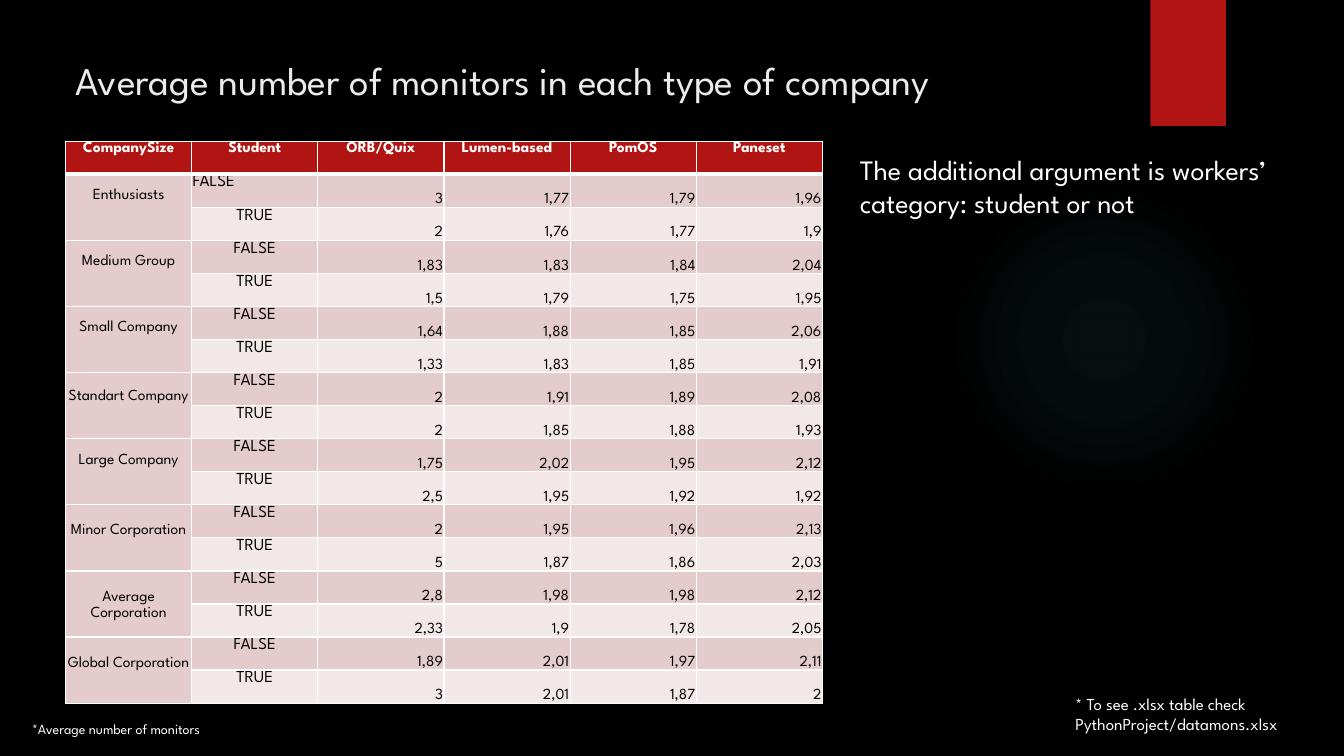
from lxml.etree import SubElement
from pptx import Presentation
from pptx.dml.color import RGBColor
from pptx.enum.shapes import MSO_SHAPE as Preset
from pptx.enum.text import MSO_ANCHOR as Anchor, PP_ALIGN as Align
from pptx.oxml import parse_xml
from pptx.oxml.ns import nsdecls, qn
from pptx.util import Inches, Pt

SLIDE_WIDTH, SLIDE_HEIGHT = Inches(13.33), Inches(7.5)
FONT = "League Spartan"
RED, WHITE, BLACK, PALE = "B01513", "FFFFFF", "000000", "EBEBEB"
BANDS = ("E4CCCC", "F2E8E7")
GLOW, GLOW_STOPS = "50B9C1", ((0, 7), (36, 6), (69, 0))
HEADINGS = ("CompanySize", "Student", "ORB/Quix", "Lumen-based", "PomOS", "Paneset")
COMPANIES = (
    ("Enthusiasts", None, "3 1,77 1,79 1,96", "2 1,76 1,77 1,9"),
    ("Medium Group", None, "1,83 1,83 1,84 2,04", "1,5 1,79 1,75 1,95"),
    ("Small Company", None, "1,64 1,88 1,85 2,06", "1,33 1,83 1,85 1,91"),
    ("Standart Company", 11.2, "2 1,91 1,89 2,08", "2 1,85 1,88 1,93"),
    ("Large Company", None, "1,75 2,02 1,95 2,12", "2,5 1,95 1,92 1,92"),
    ("Minor Corporation", 12, "2 1,95 1,96 2,13", "5 1,87 1,86 2,03"),
    ("Average Corporation", 12, "2,8 1,98 1,98 2,12", "2,33 1,9 1,78 2,05"),
    ("Global Corporation", 12, "1,89 2,01 1,97 2,11", "3 2,01 1,87 2"),
)


def color(code):
    """Return the colour for a hex string."""
    return RGBColor.from_string(code)


def share(left, top, width, height):
    """Turn percentages of the slide into a position and size."""
    return (int(SLIDE_WIDTH * left / 100), int(SLIDE_HEIGHT * top / 100),
            int(SLIDE_WIDTH * width / 100), int(SLIDE_HEIGHT * height / 100))


def write(frame, wording, size, ink, align=Align.LEFT, bold=False):
    """Put one formatted run in the first paragraph and return the paragraph."""
    paragraph = frame.paragraphs[0]
    paragraph.alignment = align
    run = paragraph.add_run()
    run.text = wording
    run.font.name, run.font.size, run.font.bold = FONT, Pt(size), bold
    run.font.color.rgb = color(ink)
    return paragraph


def add_title(slide, wording, area):
    """Place and fill the title placeholder."""
    title = slide.shapes.title
    title.left, title.top, title.width, title.height = area
    title.text_frame.vertical_anchor = Anchor.MIDDLE
    title.text_frame.margin_bottom = Inches(0.13)
    write(title.text_frame, wording, 28, PALE)


def add_remark(slide, wording, area, size):
    """Add a wrapped white text box."""
    frame = slide.shapes.add_textbox(*area).text_frame
    frame.word_wrap = True
    write(frame, wording, size, WHITE).space_before = Pt(10)


def add_plain(slide, preset, area):
    """Add a red shape without line or shadow."""
    shape = slide.shapes.add_shape(preset, *area)
    shape.shadow.inherit = False
    shape.fill.solid()
    shape.fill.fore_color.rgb = color(RED)
    shape.line.fill.background()
    return shape


def add_glow(slide, area):
    """Add an ellipse that fades out from its centre."""
    glow = add_plain(slide, Preset.OVAL, area)
    stops = "".join(
        f'<a:gs pos="{place * 1000}"><a:srgbClr val="{GLOW}">'
        f'<a:alpha val="{opacity * 1000}"/></a:srgbClr></a:gs>'
        for place, opacity in GLOW_STOPS)
    gradient = parse_xml(
        f'<a:gradFill {nsdecls("a")} rotWithShape="1"><a:gsLst>{stops}</a:gsLst>'
        '<a:path path="circle"><a:fillToRect l="50000" t="50000" r="50000" b="50000"/>'
        '</a:path></a:gradFill>')
    properties = glow.element.spPr
    properties.replace(properties.find(qn("a:solidFill")), gradient)


def dress_cell(cell, fill, bottom=1):
    """Give a cell its margins, white borders and fill."""
    cell.margin_left = cell.margin_right = cell.margin_top = Inches(0.01)
    cell.margin_bottom = 0
    for side, points in (("L", 1), ("R", 1), ("T", 1), ("B", bottom)):
        border = SubElement(cell._tc.get_or_add_tcPr(), qn(f"a:ln{side}"), w=str(Pt(points)))
        SubElement(SubElement(border, qn("a:solidFill")), qn("a:srgbClr"), val=WHITE)
    cell.fill.solid()
    cell.fill.fore_color.rgb = color(fill)


def fill_company(table, top, name, spacing):
    """Merge the two rows of a company and write its name."""
    for row in (top, top + 1):
        dress_cell(table.cell(row, 0), BANDS[0])
    company = table.cell(top, 0)
    company.merge(table.cell(top + 1, 0))
    company.margin_top = Pt(spacing or 10.5)
    paragraph = write(company.text_frame, name, 11, BLACK, Align.CENTER)
    if spacing:
        paragraph.line_spacing = Pt(spacing)


def fill_averages(table, row, student, averages, fill, align):
    """Write the student flag and the averages of one row."""
    flag = table.cell(row, 1)
    dress_cell(flag, fill)
    write(flag.text_frame, student, 12, BLACK, align)
    for column, average in enumerate(averages.split(), 2):
        cell = table.cell(row, column)
        dress_cell(cell, fill)
        cell.vertical_anchor = Anchor.BOTTOM
        write(cell.text_frame, average, 11, BLACK, Align.RIGHT)


def add_monitor_table(slide, area):
    """Add the table of average monitors by company and system."""
    table = slide.shapes.add_table(1 + 2 * len(COMPANIES), len(HEADINGS), *area).table
    for column, heading in enumerate(HEADINGS):
        cell = table.cell(0, column)
        dress_cell(cell, RED, bottom=3)
        write(cell.text_frame, heading, 11, WHITE, Align.CENTER, bold=True)
    for index, (name, spacing, *groups) in enumerate(COMPANIES):
        top = 1 + 2 * index
        fill_company(table, top, name, spacing)
        for offset, (student, averages) in enumerate(zip(("FALSE", "TRUE"), groups)):
            row = top + offset
            align = Align.LEFT if row == 1 else Align.CENTER
            fill_averages(table, row, student, averages, BANDS[offset], align)


def main():
    """Build the slide and save it."""
    deck = Presentation()
    deck.slide_width, deck.slide_height = SLIDE_WIDTH, SLIDE_HEIGHT
    slide = deck.slides.add_slide(deck.slide_layouts[5])
    slide.background.fill.solid()
    slide.background.fill.fore_color.rgb = color(BLACK)
    add_glow(slide, share(70.58, 24.4, 23.1, 41.07))
    add_plain(slide, Preset.RECTANGLE, share(85.6, 0, 5.62, 16.67))
    add_title(slide, "Average number of monitors in each type of company",
              share(4.88, 6.8, 80.33, 8.67))
    add_monitor_table(slide, share(4.88, 18.67, 56.33, 74.4))
    add_remark(slide, "The additional argument is workers’ category: student or not",
               share(63.23, 19.47, 36.75, 30.8), 20)
    add_remark(slide, "* To see .xlsx table check PythonProject/datamons.xlsx",
               share(79.28, 91.07, 19.88, 7.2), 12)
    add_remark(slide, "*Average number of monitors", share(1.65, 94.67, 18.98, 4.13), 10)
    deck.save("out.pptx")


if __name__ == "__main__":
    main()
